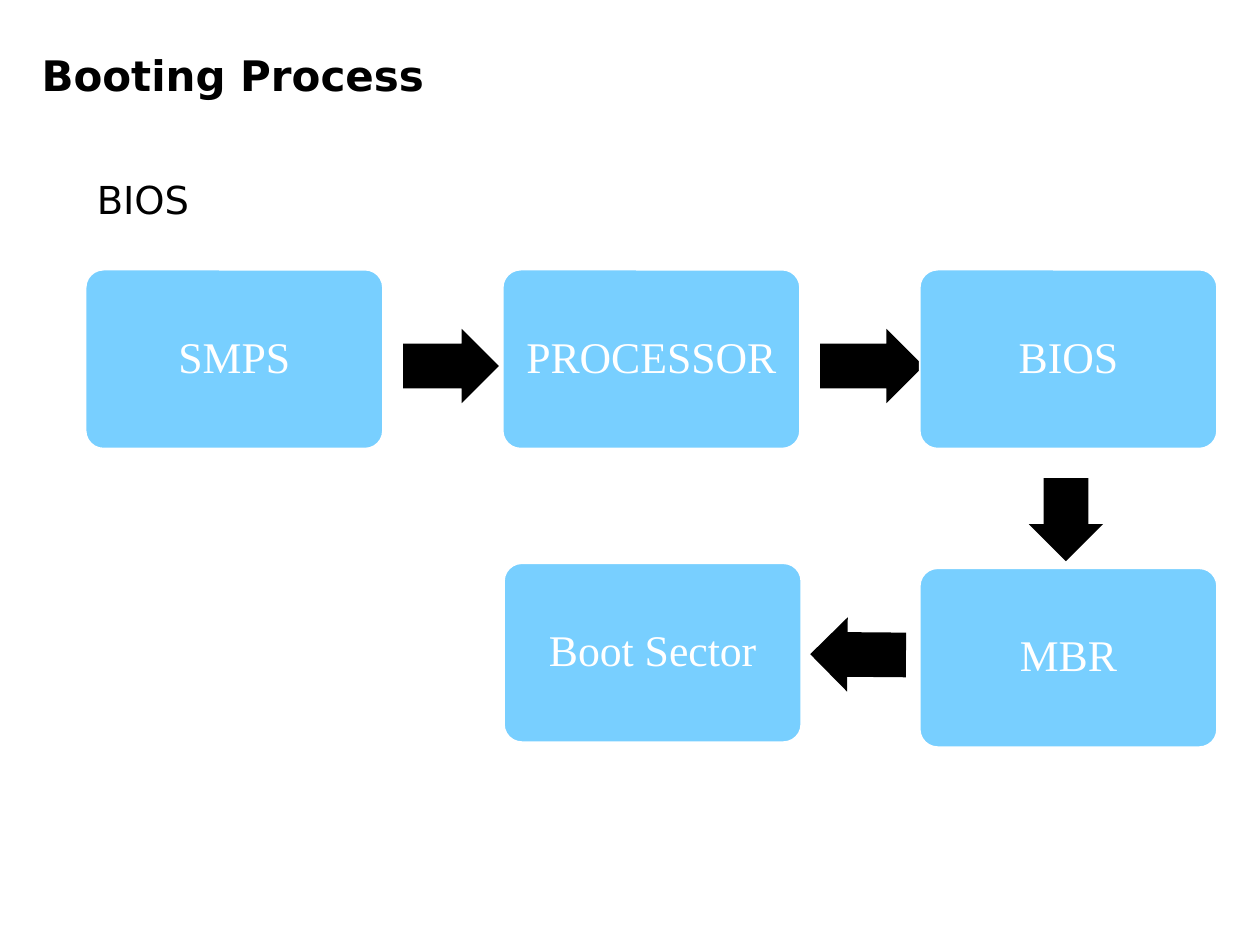
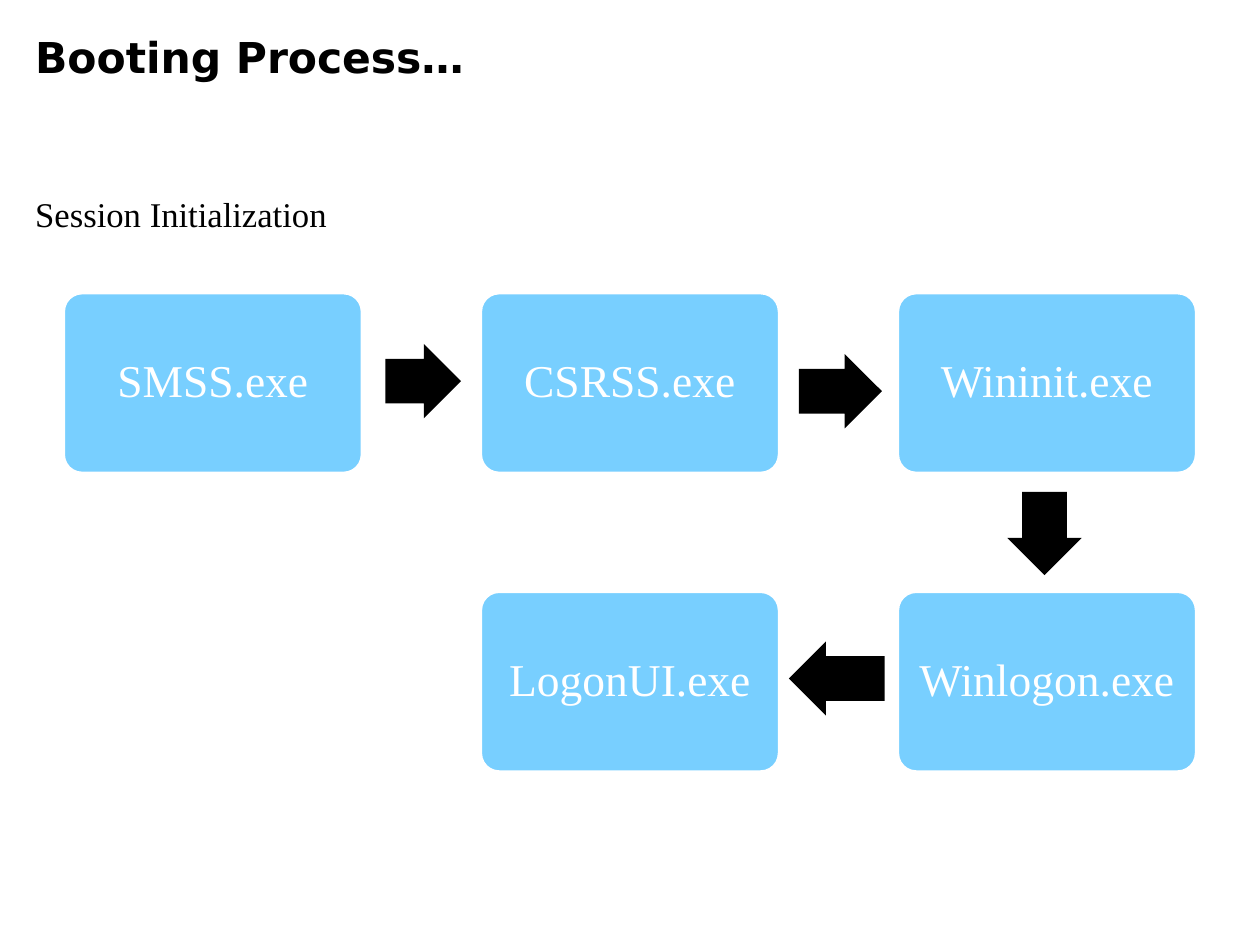
from dataclasses import dataclass

from pptx import Presentation
from pptx.dml.color import RGBColor
from pptx.enum.shapes import MSO_SHAPE
from pptx.enum.text import MSO_ANCHOR, PP_ALIGN
from pptx.util import Inches, Pt


@dataclass(frozen=True)
class Theme:
    """Colours, fonts and type sizes of the deck."""
    ink: RGBColor = RGBColor(0x00, 0x00, 0x00)
    paper: RGBColor = RGBColor(0xFF, 0xFF, 0xFF)
    node: RGBColor = RGBColor(0x78, 0xCF, 0xFF)
    sans: str = "DejaVu Sans"
    serif: str = "Times New Roman"
    title_size: float = 24
    long_title_size: float = 24.3
    stage_size: float = 22
    session_size: float = 19.8
    node_size: float = 25
    program_size: float = 26


T = Theme()
NODE_W, NODE_H = 2.36, 1.42
PITCH_X, PITCH_Y = 3.31, 2.37
ARROW_H = 0.59
CELLS = [(0, 0), (1, 0), (2, 0), (2, 1), (1, 1)]


def style(tf, font, size, color, bold=False, spacing=None):
    """Format the single paragraph of a text frame."""
    p = tf.paragraphs[0]
    p.line_spacing = spacing
    f = p.runs[0].font
    f.name, f.size, f.bold = font, Pt(size), bold
    f.color.rgb = color


def add_text(s, text, box, font, size, bold=False, spacing=None, inset=(0, 0), wrap=True):
    """Add a one-line label in the given box."""
    tf = s.shapes.add_textbox(*map(Inches, box)).text_frame
    tf.word_wrap = wrap
    tf.margin_left = tf.margin_right = Inches(inset[0])
    tf.margin_top = tf.margin_bottom = Inches(inset[1])
    tf.text = text
    style(tf, font, size, T.ink, bold, spacing)


def add_title(s, text, x, y, size):
    """Add the bold slide title."""
    add_text(s, text, (x, y, 9.04, 0.94), T.sans, size, bold=True, spacing=0.9)


def add_arrow(s, x, y, w, rotation=0):
    """Add a block arrow that points along its rotation."""
    sp = s.shapes.add_shape(MSO_SHAPE.RIGHT_ARROW, *map(Inches, (x, y, w, ARROW_H)))
    sp.adjustments[0], sp.adjustments[1] = 0.6, 0.5
    sp.rotation = rotation
    sp.shadow.inherit = False
    sp.fill.solid()
    sp.fill.fore_color.rgb = T.ink
    sp.line.fill.background()


def add_node(s, text, x, y, size):
    """Add one rounded step of the flow."""
    sp = s.shapes.add_shape(MSO_SHAPE.ROUNDED_RECTANGLE, *map(Inches, (x, y, NODE_W, NODE_H)))
    sp.adjustments[0] = 0.1
    sp.shadow.inherit = False
    sp.fill.solid()
    sp.fill.fore_color.rgb = T.node
    sp.line.color.rgb = T.paper
    sp.line.width = Pt(1)
    tf = sp.text_frame
    tf.word_wrap = True
    tf.vertical_anchor = MSO_ANCHOR.MIDDLE
    tf.margin_left = tf.margin_right = Inches(0.1)
    tf.text = text
    tf.paragraphs[0].alignment = PP_ALIGN.CENTER
    style(tf, T.serif, size, T.paper, spacing=0.9)


def add_flow(s, x, y, steps, arrows, size, last_shift=(0, 0)):
    """Run five steps right, down and back left from the corner x, y."""
    for dx, dy, *shape in arrows:
        add_arrow(s, x + dx, y + dy, *shape)
    for step, (col, row) in zip(steps, CELLS):
        sx, sy = last_shift if step == steps[-1] else (0, 0)
        add_node(s, step, x + col * PITCH_X + sx, y + row * PITCH_Y + sy, size)


def bios_slide(s):
    """Show the BIOS stage."""
    add_title(s, "Booting Process", 0.33, 0.44, T.title_size)
    add_flow(s, 0.68, 2.14,
             ["SMPS", "PROCESSOR", "BIOS", "MBR", "Boot Sector"],
             [(2.52, 0.47, 0.76), (5.83, 0.47, 0.82),
              (7.45, 1.69, 0.66, 90), (5.75, 2.76, 0.76, 180.5)],
             T.node_size, last_shift=(0.01, -0.04))
    add_text(s, "BIOS", (0.67, 1.35, 1, 0.47), T.sans, T.stage_size,
             inset=(0.1, 0.05), wrap=False)


def session_slide(s):
    """Show the session initialization stage."""
    add_title(s, "Booting Process…", 0.28, 0.29, T.long_title_size)
    add_text(s, "Session Initialization", (0.28, 1.57, 9.04, 0.3), T.serif,
             T.session_size, spacing=0.9)
    add_flow(s, 0.51, 2.33,
             ["SMSS.exe", "CSRSS.exe", "Wininit.exe", "Winlogon.exe", "LogonUI.exe"],
             [(2.55, 0.4, 0.6), (5.83, 0.48, 0.66),
              (7.45, 1.61, 0.66, 90), (5.75, 2.76, 0.76, 180)],
             T.program_size)


def main():
    """Build and save the deck."""
    prs = Presentation()
    prs.slide_width, prs.slide_height = Inches(10), Inches(7.5)
    for build in (bios_slide, session_slide):
        build(prs.slides.add_slide(prs.slide_layouts[6]))
    prs.save("out.pptx")


if __name__ == "__main__":
    main()
